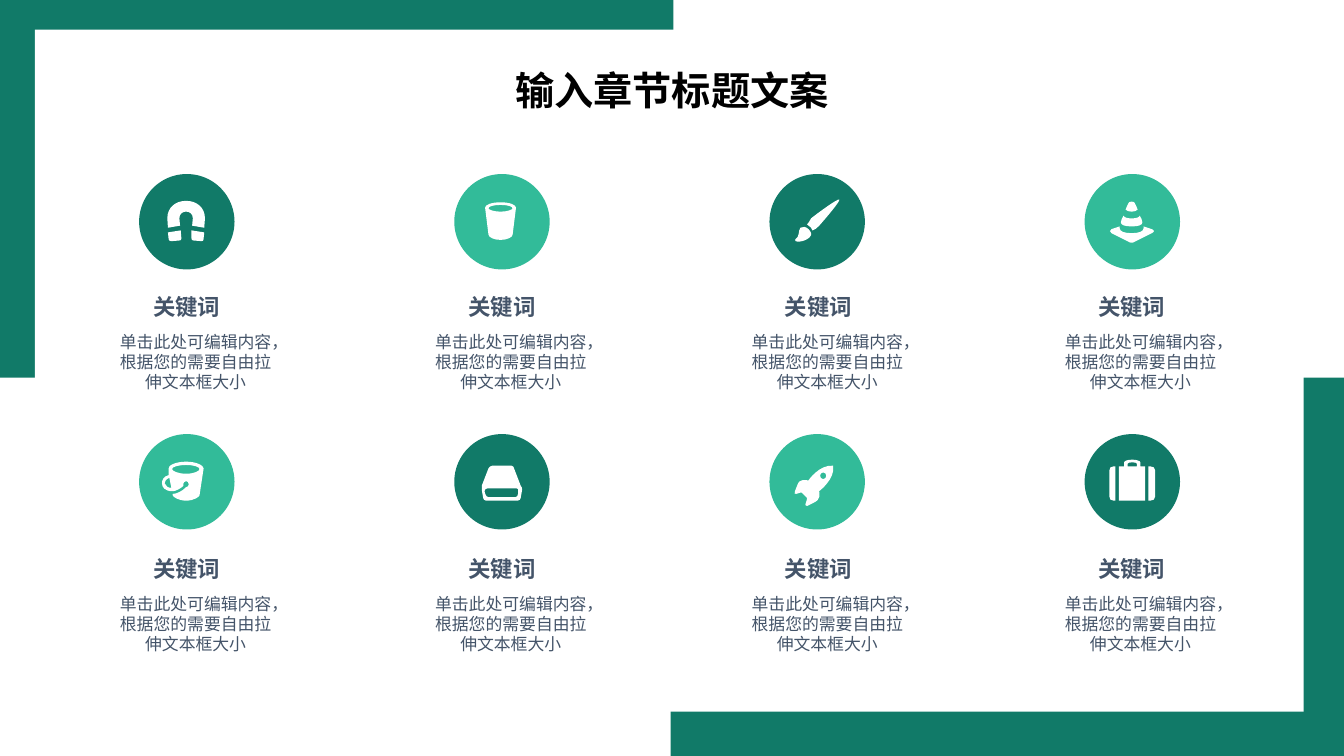
import pptx
import pptx.dml.color
import pptx.enum.lang
import pptx.enum.shapes
import pptx.enum.text
import pptx.oxml
import pptx.oxml.ns
import pptx.util
from dataclasses import dataclass

PX = 4572  # EMU per px, 200 px to the inch
SHAPES = pptx.enum.shapes.MSO_SHAPE


@dataclass(frozen=True)
class Theme:
    dark: str = "117A68"
    light: str = "32BB99"
    paper: str = "FFFFFF"
    ink: str = "000000"
    slate: str = "445469"
    title_font: str = "Calibri"
    body_font: str = "Arial"
    title_size: int = 21
    keyword_size: int = 12
    detail_size: int = 9


THEME = Theme()
TITLE = "输入章节标题文案"
KEYWORD = "关键词"
DETAIL = "单击此处可编辑内容，根据您的需要自由拉伸文本框大小"

# Icon outlines in px from the corner of their badge: M move, L line, C cubic curve
MAGNET = """M 43,87 L 44,97 C 44,99 46,100 48,100 L 60,99 C 62,99 63,98 63,96 L 62,84
M 78,84 L 78,96 C 78,98 79,99 81,99 L 93,100 C 95,100 96,99 96,97 L 97,87
M 42,66 L 43,80 L 61,77 L 60,66 C 60,60 64,56 70,56 C 76,56 80,60 80,66 L 79,77 L 97,80
L 98,66 C 98,50 86,40 70,40 C 54,40 42,50 42,66"""
CUP = """M 69,42 C 55,42 46,46 46,50 L 51,90 C 51,94 59,98 69,98 C 79,98 87,94 87,90
L 92,50 C 92,46 83,42 69,42
M 69,56 C 59,56 51,53 51,51 C 51,48 59,46 69,46 C 79,46 87,48 87,51 C 87,53 79,56 69,56"""
BRUSH = """M 46,80 C 42,86 46,92 38,98 C 36,102 52,102 60,94 C 64,90 62,86 58,82
C 54,78 50,78 46,80
M 104,38 C 102,36 72,58 62,66 C 60,70 58,73 56,75 C 58,77 60,78 62,80 C 63,81 64,82 64,84
C 68,84 70,80 74,77 C 82,68 106,40 104,38"""
CONE = """M 70,78 C 80,78 86,76 86,72 C 86,68 84,66 82,62 C 81,65 76,66 70,66
C 64,66 59,65 58,62 C 56,66 54,68 54,72 C 54,76 60,78 70,78
M 70,56 C 74,56 77,55 79,53 C 78,50 76,46 75,44 C 75,42 73,41 70,41
C 67,41 65,42 65,44 C 64,46 62,50 61,53 C 63,55 66,56 70,56
M 100,82 L 88,78 L 88,80 C 88,86 80,88 70,88 C 60,88 52,86 52,80 L 52,78 L 40,82
C 37,84 37,86 40,88 L 64,100 C 68,103 72,103 76,100 L 100,88 C 104,86 104,84 100,82"""
MUG = """M 70,41 C 54,41 43,47 44,51 L 44,61 C 36,63 34,69 34,73 C 34,79 38,85 50,85
C 54,85 62,81 66,77 C 65,72 68,70 70,70 C 72,70 74,72 74,75 C 74,77 72,79 70,79
C 64,85 56,89 50,89 L 50,91 C 50,93 58,99 70,99 C 82,99 90,93 90,91 L 96,51
C 96,47 86,41 70,41
M 38,73 C 38,71 40,67 45,65 L 48,80 C 42,80 40,77 38,73
M 70,59 C 58,59 49,55 49,52 C 49,49 58,46 70,46 C 82,46 90,49 90,52 C 90,55 82,59 70,59"""
DRIVE = """M 99,77 L 89,51 C 89,49 87,47 85,47 L 57,47 C 55,47 52,49 51,51 L 41,77
C 40,79 40,81 41,83 L 43,95 C 43,97 45,99 47,99 L 95,99 C 97,99 99,97 99,95 L 101,83
C 102,81 100,79 99,77
M 95,85 L 95,89 C 95,92 93,94 91,94 L 51,94 C 49,94 47,92 46,89 L 45,85
C 45,83 47,81 49,81 L 93,81 C 95,81 96,83 95,85"""
ROCKET = """M 74,85 C 74,85 98,67 95,47 C 74,45 58,69 58,69 C 44,67 44,69 38,85
C 36,89 38,89 40,89 C 44,87 48,87 48,87 L 56,95 C 56,95 56,99 54,103
C 52,105 54,107 56,107 C 72,99 76,99 74,85
M 80,57 C 86,57 86,67 80,67 C 74,67 74,57 80,57"""
SUITCASE = """M 95,48 L 98,48 C 102,48 105,50 105,54 L 105,93 C 105,97 102,99 98,99 L 95,99
M 46,48 L 43,48 C 39,48 37,50 37,54 L 37,93 C 37,97 39,99 43,99 L 46,99
M 83,48 L 83,42 C 83,40 77,38 71,38 C 64,38 59,40 59,42 L 59,48 L 51,48 L 51,99 L 90,99 L 90,48
M 78,48 L 64,48 L 64,44 C 64,43 67,42 71,42 C 75,42 78,43 78,44"""
ICON_ROWS = [[MAGNET, CUP, BRUSH, CONE], [MUG, DRIVE, ROCKET, SUITCASE]]


def emu(*lengths):
    return [pptx.util.Emu(length * PX) for length in lengths]


def rgb(colour):
    return pptx.dml.color.RGBColor.from_string(colour)


def paint(shape, colour):
    shape.shadow.inherit = False
    shape.fill.solid()
    shape.fill.fore_color.rgb = rgb(colour)
    shape.line.fill.background()


def filled(slide, preset, box, colour):
    paint(slide.shapes.add_shape(preset, *emu(*box)), colour)


def write(slide, box, text, colour, insets=(0, 0), **font_format):
    frame = slide.shapes.add_textbox(*emu(*box)).text_frame
    side, end = emu(*insets)
    frame_format = {
        "word_wrap": True,
        "auto_size": pptx.enum.text.MSO_AUTO_SIZE.SHAPE_TO_FIT_TEXT,
        "margin_left": side, "margin_right": side,
        "margin_top": end, "margin_bottom": end,
    }
    for key, value in frame_format.items():
        setattr(frame, key, value)
    paragraph = frame.paragraphs[0]
    paragraph.alignment = pptx.enum.text.PP_ALIGN.CENTER
    run = paragraph.add_run()
    run.text = text
    run.font.color.rgb = rgb(colour)
    font_format["language_id"] = pptx.enum.lang.MSO_LANGUAGE_ID.SIMPLIFIED_CHINESE
    for key, value in font_format.items():
        setattr(run.font, key, value)


def bend(shape, commands):
    """Turn each run of three line points that belongs to a curve into one cubic curve."""
    qn = pptx.oxml.ns.qn
    lines = iter(list(shape.element.iter(qn("a:lnTo"))))
    for command in commands:
        segment = next(lines)
        if command == "C":
            segment.tag = qn("a:cubicBezTo")
            for _ in range(2):
                control = next(lines)
                segment.append(control[0])
                control.getparent().remove(control)


def draw_icon(slide, left, top, outline):
    builder, commands = None, []
    for contour in outline.split("M")[1:]:
        tokens = contour.split()
        commands += [command for command in " ".join(tokens) if command in "LC"]
        pairs = [token.split(",") for token in tokens if token not in "LC"]
        points = emu_points = [emu(left + int(x), top + int(y)) for x, y in pairs]
        if builder is None:
            builder = slide.shapes.build_freeform(*points[0], scale=1.0)
        else:
            builder.move_to(*points[0])
        builder.add_line_segments(points[1:], close=True)
    icon = builder.convert_to_shape()
    bend(icon, commands)
    paint(icon, THEME.paper)


def draw_frame(slide, left, top, width, height):
    # Two opposite corner blocks under a white panel
    block_width, block_height = 1002, 562
    filled(slide, SHAPES.RECTANGLE, (left, top, block_width, block_height), THEME.dark)
    filled(slide, SHAPES.RECTANGLE, (left + width - block_width, top + block_height,
                                     block_width, height - block_height), THEME.dark)
    filled(slide, SHAPES.RECTANGLE, (left + 52, top + 44, width - 112, height - 110), THEME.paper)


def draw_badge(slide, left, top, size, outline, colour):
    filled(slide, SHAPES.OVAL, (left, top, size, size), colour)
    draw_icon(slide, left, top, outline)


def draw_caption(slide, left, top, width):
    write(slide, (left, top, width, 40), KEYWORD, THEME.slate, name=THEME.body_font,
          size=pptx.util.Pt(THEME.keyword_size), bold=True)
    write(slide, (left + 91, top + 57, 228, 90), DETAIL, THEME.slate, name=THEME.body_font,
          size=pptx.util.Pt(THEME.detail_size))


def draw_keyword_grid(slide, left, top):
    badge_pitch, badge_row, caption_row = 469, 387, 390
    caption_offsets = (0, 469, 940, 1406)
    for row, icons in enumerate(ICON_ROWS):
        for column, outline in enumerate(icons):
            colour = THEME.light if (row + column) % 2 else THEME.dark
            draw_badge(slide, left + 121 + column * badge_pitch, top + row * badge_row,
                       142, outline, colour)
            draw_caption(slide, left + caption_offsets[column],
                         top + 177 + row * caption_row, 384)


def main():
    deck = pptx.Presentation()
    deck.slide_width, deck.slide_height = emu(2000, 1125)
    slide = deck.slides.add_slide(deck.slide_layouts[6])
    draw_frame(slide, 0, 0, 2000, 1125)
    draw_keyword_grid(slide, 86, 259)
    # Section title
    write(slide, (684, 89, 632, 90), TITLE, THEME.ink, insets=(20, 10), name=THEME.title_font,
          size=pptx.util.Pt(THEME.title_size), bold=True)
    deck.save("out.pptx")


if __name__ == "__main__":
    main()
